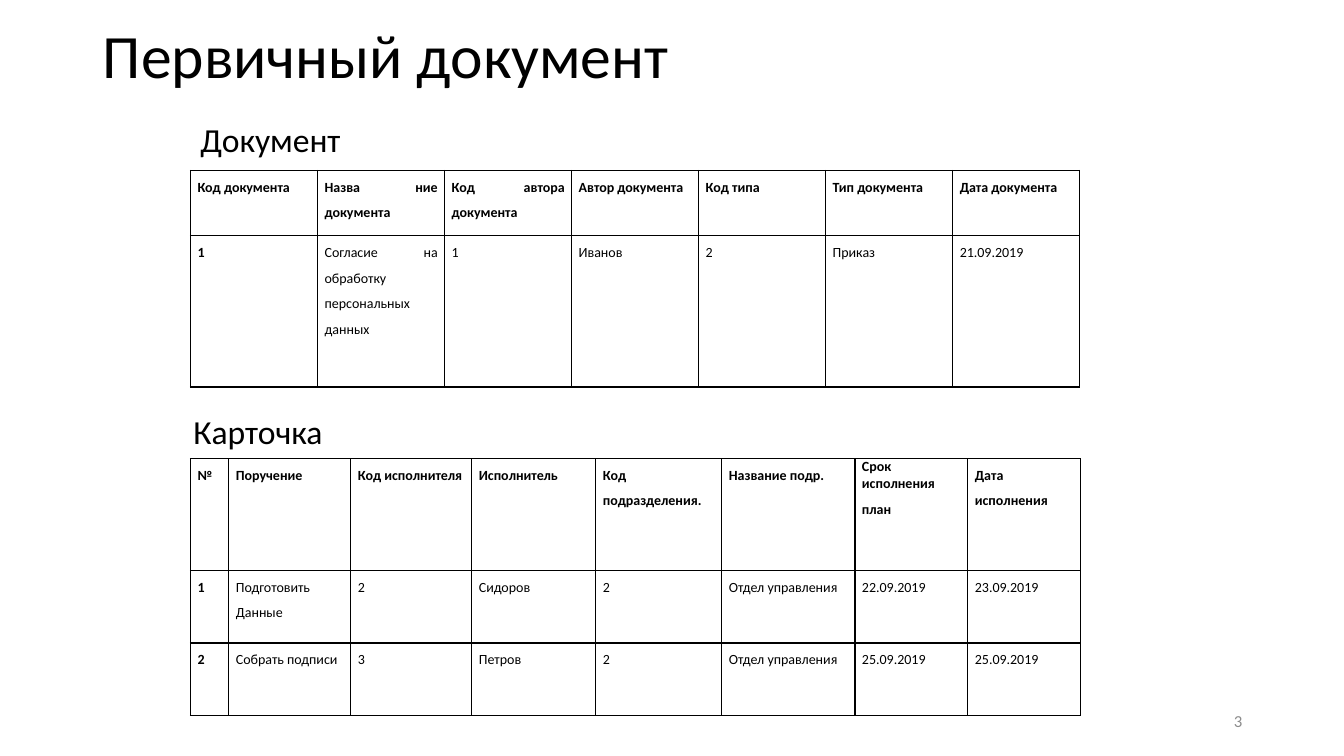
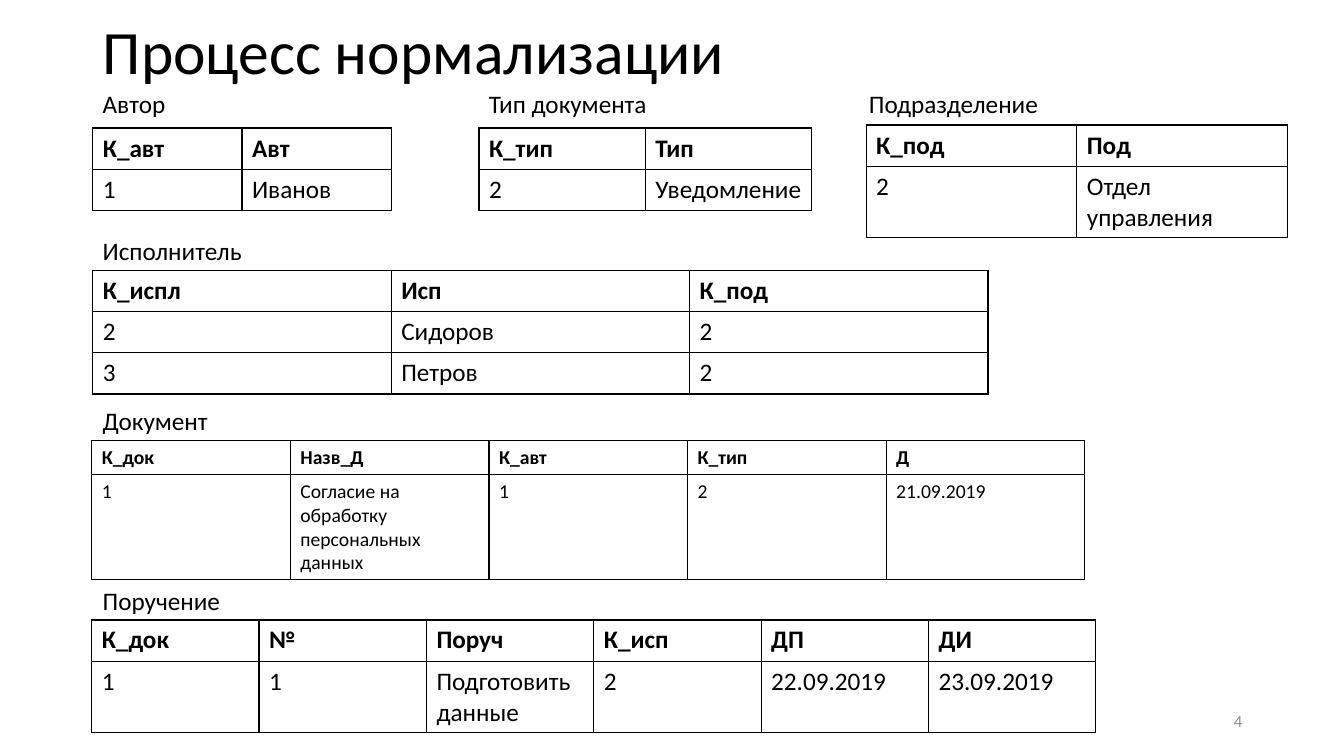
from dataclasses import dataclass

from lxml.etree import SubElement
from pptx import Presentation
from pptx.dml.color import RGBColor
from pptx.enum.text import MSO_ANCHOR as Anchor, MSO_AUTO_SIZE as AutoSize, PP_ALIGN as Align
from pptx.oxml.ns import qn
from pptx.util import Inches, Pt


@dataclass(frozen=True)
class Theme:
    """Colours, font and type sizes shared by all slides."""
    font: str = "Calibri"
    ink: str = "000000"
    paper: str = "FFFFFF"
    muted: str = "8C8C8C"
    title: int = 44
    heading: int = 24
    label: int = 18
    compact: int = 14
    dense: int = 10
    number: int = 12
    border: int = 1


theme = Theme()


def write_text(frame, text, size, color=theme.ink, bold=False,
               align=Align.LEFT, spacing=1.0, anchor=Anchor.MIDDLE):
    """Fill a text frame, one paragraph per line of text."""
    frame.text = text
    frame.word_wrap = True
    frame.vertical_anchor = anchor
    for paragraph in frame.paragraphs:
        paragraph.alignment = align
        paragraph.line_spacing = spacing
        font = paragraph.runs[0].font
        font.name, font.size, font.bold = theme.font, Pt(size), bold
        font.color.rgb = RGBColor.from_string(color)


def add_grid(slide, left, top, widths, heights, rows, size,
             bold_column=False, inset=None, **text_format):
    """Add a white table with thin borders and a bold first row."""
    table = slide.shapes.add_table(
        len(rows), len(widths), Inches(left), Inches(top),
        Inches(sum(widths)), Inches(sum(heights))).table
    table.first_row = table.horz_banding = False
    for column, width in zip(table.columns, widths):
        column.width = Inches(width)
    for row, height in zip(table.rows, heights):
        row.height = Inches(height)
    for r, row in enumerate(rows):
        for c, text in enumerate(row):
            cell = table.cell(r, c)
            properties = cell._tc.get_or_add_tcPr()
            for side in ("a:lnL", "a:lnR", "a:lnT", "a:lnB"):
                line = SubElement(properties, qn(side), w=str(Pt(theme.border)))
                fill = SubElement(line, qn("a:solidFill"))
                SubElement(fill, qn("a:srgbClr"), val=theme.ink)
            cell.fill.solid()
            cell.fill.fore_color.rgb = RGBColor.from_string(theme.paper)
            if inset is not None:
                cell.margin_left = cell.margin_right = Inches(inset)
                cell.margin_top = cell.margin_bottom = 0
            write_text(cell.text_frame, text, size, anchor=Anchor.TOP,
                       bold=r == 0 or (bold_column and c == 0), **text_format)
    return table


presentation = Presentation()
presentation.slide_width, presentation.slide_height = Inches(13.33), Inches(7.5)
title_only = presentation.slide_layouts[5]

MARGIN, MIDDLE, RIGHT = 0.92, 4.75, 8.59
INDENT = 1.89
LINE = 0.41

# Title, title top, page number, label size, label box, label spacing, labels
pages = [
    ("Первичный документ", -0.14, 3, theme.heading, (1.6, 0.57), 0.9,
     [("Документ", INDENT, 1.12), ("Карточка", 1.82, 4.02)]),
    ("Процесс нормализации", -0.18, 4, theme.label, (2.26, 0.4), 1.0,
     [("Автор", MARGIN, 0.83), ("Тип документа", MIDDLE, 0.83),
      ("Подразделение", 8.52, 0.83), ("Исполнитель", MARGIN, 2.28),
      ("Документ", MARGIN, 3.97), ("Поручение", MARGIN, 5.76)]),
]

slides = []
for heading, title_top, number, label_size, label_box, spacing, labels in pages:
    slide = presentation.slides.add_slide(title_only)
    slides.append(slide)
    title = slide.shapes.title
    title.left, title.top = Inches(MARGIN), Inches(title_top)
    title.width, title.height = Inches(11.5), Inches(1.45)
    title.text_frame.auto_size = AutoSize.NONE
    write_text(title.text_frame, heading, theme.title, spacing=0.9)
    for text, left, top in labels:
        label = slide.shapes.add_textbox(
            Inches(left), Inches(top), *map(Inches, label_box))
        write_text(label.text_frame, text, label_size, spacing=spacing)
    page_number = slide.shapes.add_textbox(
        Inches(9.42), Inches(6.95), Inches(3), Inches(0.4))
    write_text(page_number.text_frame, str(number), theme.number,
               color=theme.muted, align=Align.RIGHT)

source_slide, normal_slide = slides

# Source document
dense = dict(size=theme.dense, bold_column=True, inset=0.07,
             align=Align.JUSTIFY, spacing=1.5)
add_grid(source_slide, INDENT, 1.69, [1.26] * 7, [0.65, 1.5], [
    ["Код документа", "Назва ние документа", "Код автора документа",
     "Автор документа", "Код типа", "Тип документа", "Дата документа"],
    ["1", "Согласие на обработку персональных данных", "1", "Иванов", "2",
     "Приказ", "21.09.2019"],
], **dense)
card = add_grid(
    source_slide, INDENT, 4.55,
    [0.38, 1.21, 1.2, 1.23, 1.25, 1.32, 1.12, 1.12], [1.11, 0.72, 0.72], [
        ["№", "Поручение", "Код исполнителя", "Исполнитель",
         "Код подразделения.", "Название подр.", "Срок исполнения\nплан",
         "Дата исполнения"],
        ["1", "Подготовить\nДанные", "2", "Сидоров", "2",
         "Отдел управления", "22.09.2019", "23.09.2019"],
        ["2", "Собрать подписи", "3", "Петров", "2",
         "Отдел управления", "25.09.2019", "25.09.2019"],
    ], **dense)
deadline = card.cell(0, 6).text_frame.paragraphs[0]
deadline.alignment, deadline.line_spacing = Align.LEFT, 1.0

# Normalized tables: left, top, widths, heights, rows, type size
normalized = [
    (MARGIN, 1.27, [1.48] * 2, [LINE] * 2,
     [["К_авт", "Авт"], ["1", "Иванов"]], theme.label),
    (MIDDLE, 1.27, [1.65] * 2, [LINE] * 2,
     [["К_тип", "Тип"], ["2", "Уведомление"]], theme.label),
    (RIGHT, 1.24, [2.09] * 2, [LINE, 0.71],
     [["К_под", "Под"], ["2", "Отдел управления"]], theme.label),
    (MARGIN, 2.68, [2.96] * 3, [LINE] * 3,
     [["К_испл", "Исп", "К_под"], ["2", "Сидоров", "2"],
      ["3", "Петров", "2"]], theme.label),
    (0.91, 4.37, [1.97] * 5, [0.34, 1.04],
     [["К_док", "Назв_Д", "К_авт", "К_тип", "Д"],
      ["1", "Согласие на обработку персональных данных", "1", "2",
       "21.09.2019"]], theme.compact),
    (0.91, 6.15, [1.66] * 6, [LINE, 0.71],
     [["К_док", "№", "Поруч", "К_исп", "ДП", "ДИ"],
      ["1", "1", "Подготовить данные", "2", "22.09.2019", "23.09.2019"]],
     theme.label),
]
for grid in normalized:
    add_grid(normal_slide, *grid)

presentation.save("out.pptx")
